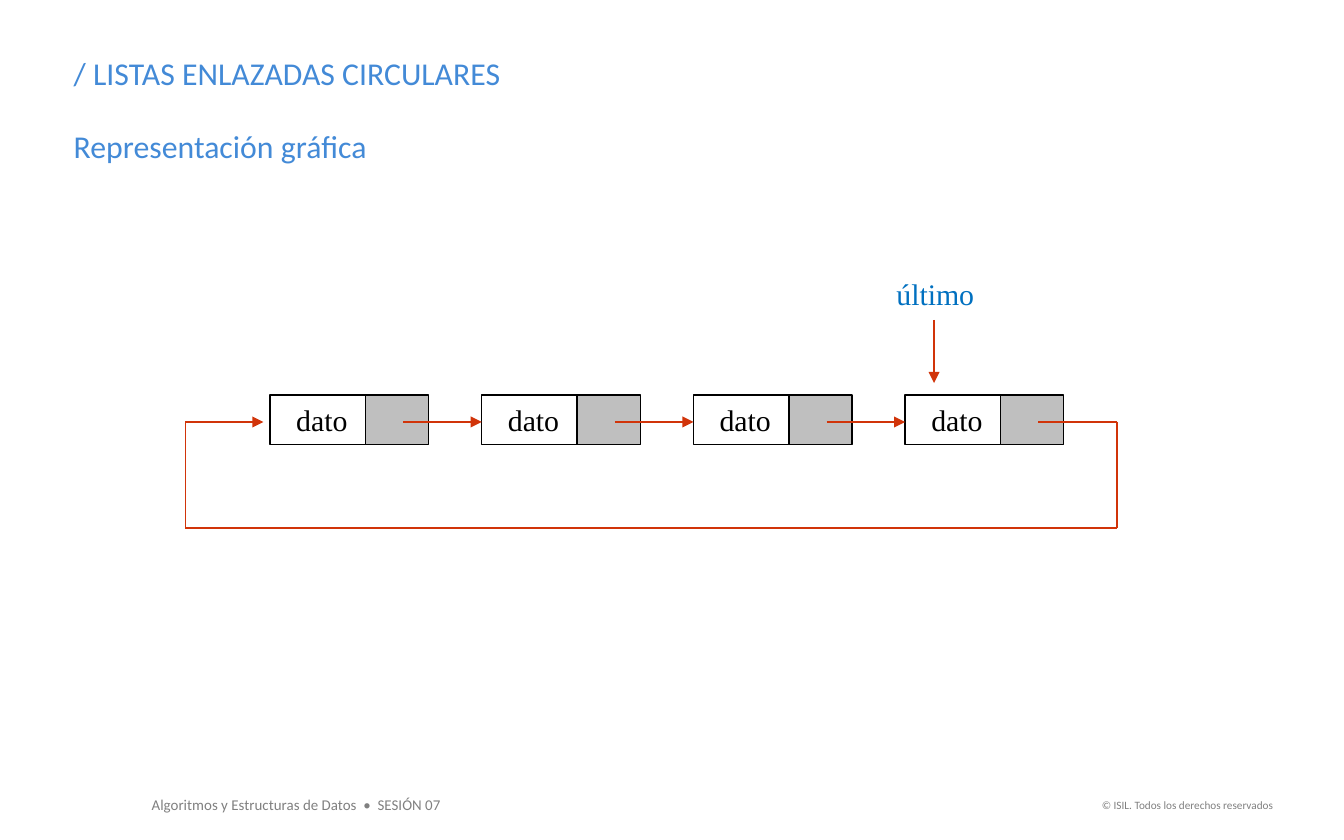
from lxml import etree
from pptx import Presentation
from pptx.dml.color import RGBColor
from pptx.enum.shapes import MSO_CONNECTOR, MSO_SHAPE
from pptx.enum.text import MSO_ANCHOR, PP_ALIGN
from pptx.oxml.ns import qn
from pptx.util import Inches, Pt

LEFT, MID, RIGHT = PP_ALIGN.LEFT, PP_ALIGN.CENTER, PP_ALIGN.RIGHT
TOP = MSO_ANCHOR.TOP
RECT, LINE = MSO_SHAPE.RECTANGLE, MSO_CONNECTOR.STRAIGHT
SANS, SERIF = "Calibri", "Times New Roman"
BLUE, SKY, RED = "438AD7", "0070C0", "D13409"
INK, GRAY, SOFT = "000000", "808080", "BFBFBF"
COLS, ROWS = 100, 62.5
WIDE, HIGH = Inches(10), Inches(6.25)


def tint(code):
    return RGBColor.from_string(code)


class Board:
    """Draw styled parts on one slide, placed by grid columns and rows."""

    def __init__(self, slide):
        self.slide = slide
        self.weight = Pt(0.75)

    def place(self, col, row):
        return round(col * WIDE / COLS), round(row * HIGH / ROWS)

    def letter(self, shape, text, size, font, color, align, wrap=True):
        frame = shape.text_frame
        frame.word_wrap = wrap
        frame.vertical_anchor = TOP
        para = frame.paragraphs[0]
        para.text = text
        para.alignment = align
        para.font.size = Pt(size)
        para.font.name = font
        para.font.color.rgb = tint(color)

    def label(self, text, col, row, wide, high, size, font, color,
              align=LEFT, wrap=True):
        box = self.slide.shapes.add_textbox(*self.place(col, row),
                                            *self.place(wide, high))
        self.letter(box, text, size, font, color, align, wrap)

    def box(self, col, row, wide, high, fill=None, text=None):
        shape = self.slide.shapes.add_shape(RECT, *self.place(col, row),
                                            *self.place(wide, high))
        shape.shadow.inherit = False
        if fill:
            shape.fill.solid()
            shape.fill.fore_color.rgb = tint(fill)
        else:
            shape.fill.background()
        shape.line.color.rgb = tint(INK)
        shape.line.width = self.weight
        if text:
            self.letter(shape, text, 16, SERIF, INK, MID)

    def line(self, start, end, arrow=False):
        link = self.slide.shapes.add_connector(LINE, *self.place(*start),
                                               *self.place(*end))
        link.line.color.rgb = tint(RED)
        link.line.width = self.weight
        props = link._element.spPr
        if arrow:
            etree.SubElement(props.find(qn("a:ln")), qn("a:tailEnd"),
                             type="triangle")
        etree.SubElement(props, qn("a:effectLst"))


def main():
    deck = Presentation()
    deck.slide_width, deck.slide_height = WIDE, HIGH
    board = Board(deck.slides.add_slide(deck.slide_layouts[6]))

    board.label("Algoritmos y Estructuras de Datos  •  SESIÓN 07",
                10.3, 58.7, 23.6, 2.4, 8, SANS, GRAY, wrap=False)
    board.label("© ISIL. Todos los derechos reservados",
                80.7, 58.9, 15, 2, 6, SANS, GRAY, RIGHT, False)
    board.label("/ LISTAS ENLAZADAS CIRCULARES",
                4.5, 3.5, 78.8, 3.9, 17, SANS, BLUE)
    board.label("Representación gráfica",
                4.5, 8.9, 25.8, 3.9, 17, SANS, BLUE)
    board.label("último", 65.3, 20, 8.6, 3.7, 16, SERIF, SKY, MID)

    first, step, count = 20.1, 15.75, 4
    top, high, mid, low = 29.4, 3.7, 31.4, 39.3
    near, far = 13.8, 83.1
    nodes = [first + step * i for i in range(count)]
    for col in nodes:
        board.box(col, top, 7.7, high, text="dato")
        board.box(col + 7.1, top, 4.7, high, SOFT)
    for col in nodes:
        last = col == nodes[-1]
        board.line((col + 9.9, mid),
                   (far if last else col + step, mid), not last)
    board.line((69.5, 23.8), (69.5, 28.5), True)

    loop = [(far, mid), (far, low), (near, low), (near, mid), (19.6, mid)]
    for start, end in zip(loop, loop[1:]):
        board.line(start, end, end == loop[-1])

    deck.save("out.pptx")


if __name__ == "__main__":
    main()
